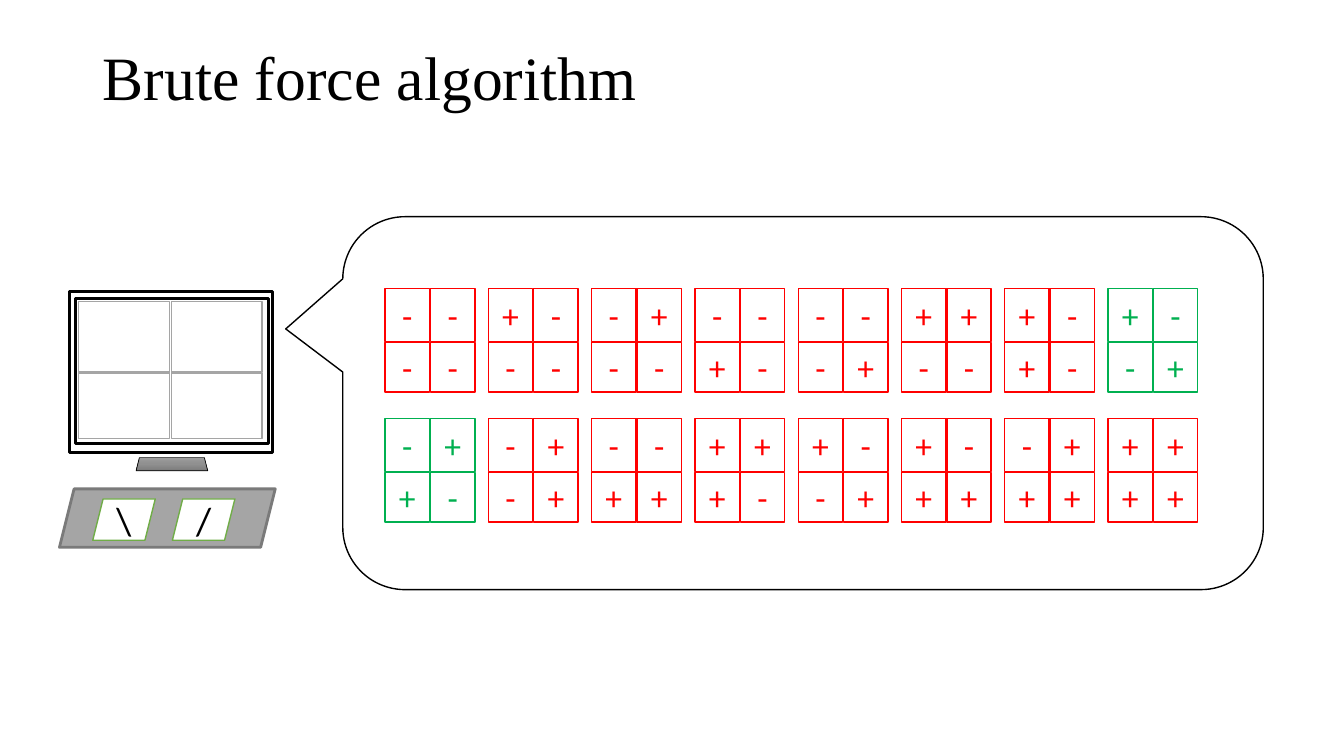
import copy

import pptx
import pptx.dml.color
import pptx.enum.shapes
import pptx.enum.text
import pptx.oxml.ns
import pptx.util

Inches = pptx.util.Inches
SHAPES = pptx.enum.shapes.MSO_SHAPE
BLACK, WHITE, GRAY = "000000", "FFFFFF", "A5A5A5"
RED, GREEN = "FF0000", "00B050"

SIGN_ROWS = [
    ["----", "+---", "-+--", "--+-", "---+", "++--", "+-+-", "+--+"],
    ["-++-", "-+-+", "--++", "+++-", "+--+", "+-++", "-+++", "++++"],
]
SOLUTIONS = {(0, 7), (1, 0)}


def color(value):
    return pptx.dml.color.RGBColor.from_string(value)


def add_box(shapes, kind, box, line, width=1, fill=WHITE):
    shape = shapes.add_shape(kind, *[Inches(length) for length in box])
    shape.shadow.inherit = False
    shape.fill.solid()
    shape.fill.fore_color.rgb = color(fill)
    shape.line.color.rgb = color(line)
    shape.line.width = pptx.util.Pt(width)
    return shape


def write_symbol(shape, symbol, size, font_color):
    shape.text_frame.vertical_anchor = pptx.enum.text.MSO_ANCHOR.MIDDLE
    paragraph = shape.text_frame.paragraphs[0]
    paragraph.text = symbol
    paragraph.alignment = pptx.enum.text.PP_ALIGN.CENTER
    paragraph.font.size = pptx.util.Pt(size)
    paragraph.font.name = "Calibri"
    paragraph.font.color.rgb = color(font_color)


def add_title(slide, box):
    title = slide.shapes.title
    title.left, title.top, title.width, title.height = [Inches(length) for length in box]
    title.text_frame.vertical_anchor = pptx.enum.text.MSO_ANCHOR.MIDDLE
    paragraph = title.text_frame.paragraphs[0]
    paragraph.text = "Brute force algorithm"
    paragraph.alignment = pptx.enum.text.PP_ALIGN.LEFT
    paragraph.line_spacing = 0.9
    paragraph.font.size = pptx.util.Pt(44)
    paragraph.font.name = "Times New Roman"
    paragraph.font.color.rgb = color(BLACK)


def shade_stand(stand):
    stand.fill.gradient()
    stand.fill.gradient_angle = 270
    stop_list = stand._element.spPr.find(".//" + pptx.oxml.ns.qn("a:gsLst"))
    stop_list.insert(1, copy.deepcopy(stop_list[0]))
    shades = [(0, "9D9D9D"), (0.5, "909090"), (1, "7C7C7C")]
    for stop, (position, shade) in zip(stand.fill.gradient_stops, shades):
        stop.position = position
        stop.color.rgb = color(shade)


def add_computer(slide, left, top):
    shapes = slide.shapes.add_group_shape().shapes
    add_box(shapes, SHAPES.RECTANGLE, (left + 0.1, top, 2.01, 1.6), BLACK, 2)
    add_box(shapes, SHAPES.PARALLELOGRAM, (left, top + 1.96, 2.14, 0.58), "7A7A7A", 2, GRAY)
    for index, symbol in enumerate("\\/"):
        key_box = (left + 0.33 + index * 0.79, top + 2.06, 0.62, 0.41)
        key = add_box(shapes, SHAPES.PARALLELOGRAM, key_box, "70AD47")
        write_symbol(key, symbol, 28, BLACK)
    add_box(shapes, SHAPES.RECTANGLE, (left + 0.16, top + 0.07, 1.91, 1.44), BLACK, 2)
    for column in range(2):
        for offset, height in [(0.81, 0.65), (0.1, 0.7)]:
            pane_box = (left + 0.19 + column * 0.92, top + offset, 0.9, height)
            add_box(shapes, SHAPES.RECTANGLE, pane_box, GRAY)
    stand_box = (left + 0.76, top + 1.65, 0.71, 0.13)
    shade_stand(add_box(shapes, SHAPES.TRAPEZOID, stand_box, BLACK, 0.5))


def add_sign_grid(slide, left, top, signs, ink):
    shapes = slide.shapes.add_group_shape().shapes
    for index, sign in enumerate(signs):
        row, column = divmod(index, 2)
        cell_box = (left + column * 0.45, top + row * 0.54, 0.44, (0.53, 0.49)[row])
        cell = add_box(shapes, SHAPES.RECTANGLE, cell_box, ink)
        write_symbol(cell, sign, 24, ink)


def add_callout(slide, left, top, width, height):
    callout = add_box(slide.shapes, SHAPES.ROUNDED_RECTANGULAR_CALLOUT,
                      (left, top, width, height), BLACK)
    for index, value in enumerate([-0.562, -0.199, 0.167]):
        callout.adjustments[index] = value
    for row, sign_row in enumerate(SIGN_ROWS):
        for column, signs in enumerate(sign_row):
            ink = GREEN if (row, column) in SOLUTIONS else RED
            add_sign_grid(slide, left + 0.42 + column * 7.17 / 7,
                          top + 0.71 + row * 1.29, signs, ink)


def main():
    presentation = pptx.Presentation()
    presentation.slide_width = Inches(13.33)
    presentation.slide_height = Inches(7.5)
    slide = presentation.slides.add_slide(presentation.slide_layouts[5])
    add_title(slide, (0.92, 0.07, 11.5, 1.45))
    add_callout(slide, 3.4, 2.15, 9.13, 3.7)
    add_computer(slide, 0.59, 2.89)
    presentation.save("out.pptx")


if __name__ == "__main__":
    main()
